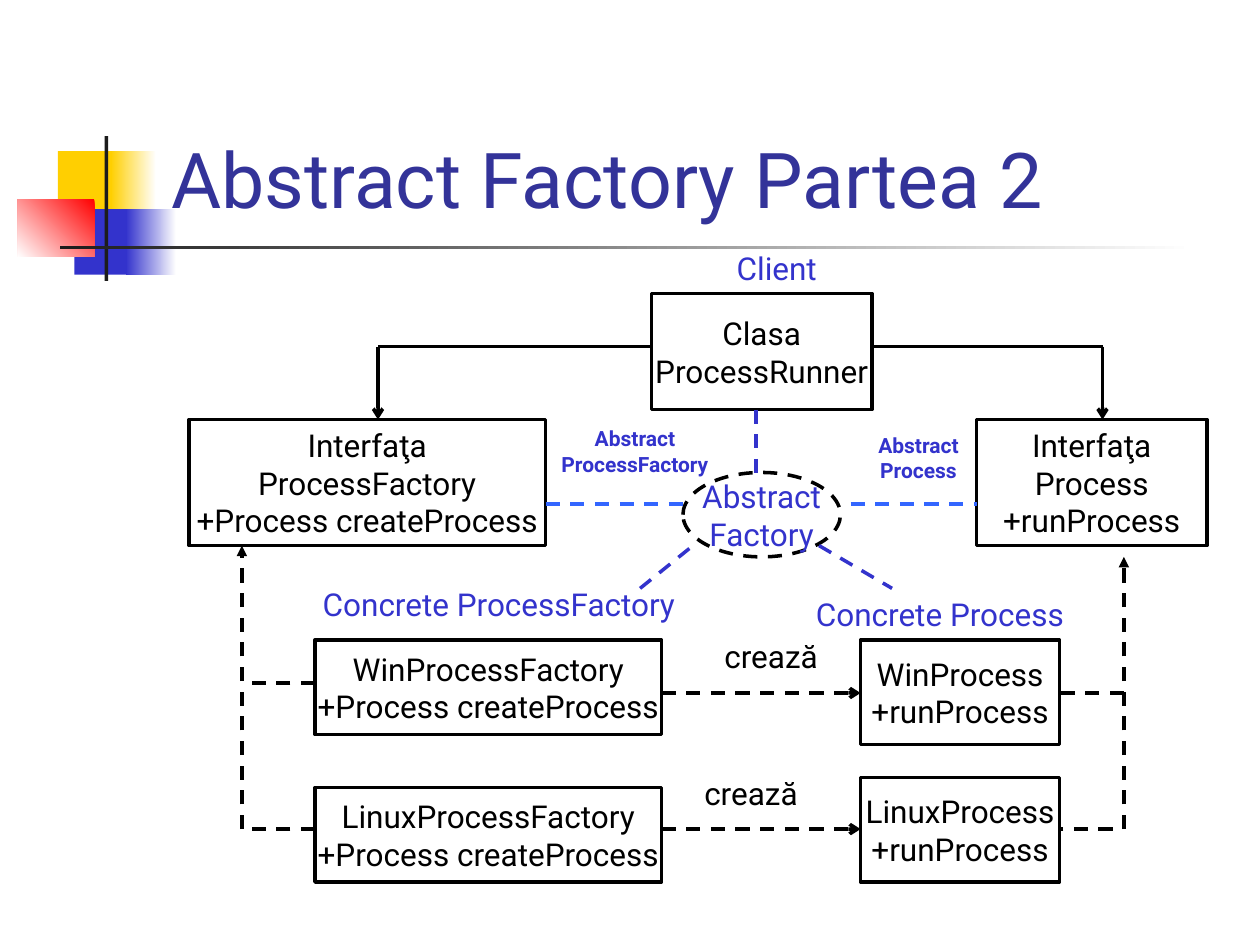
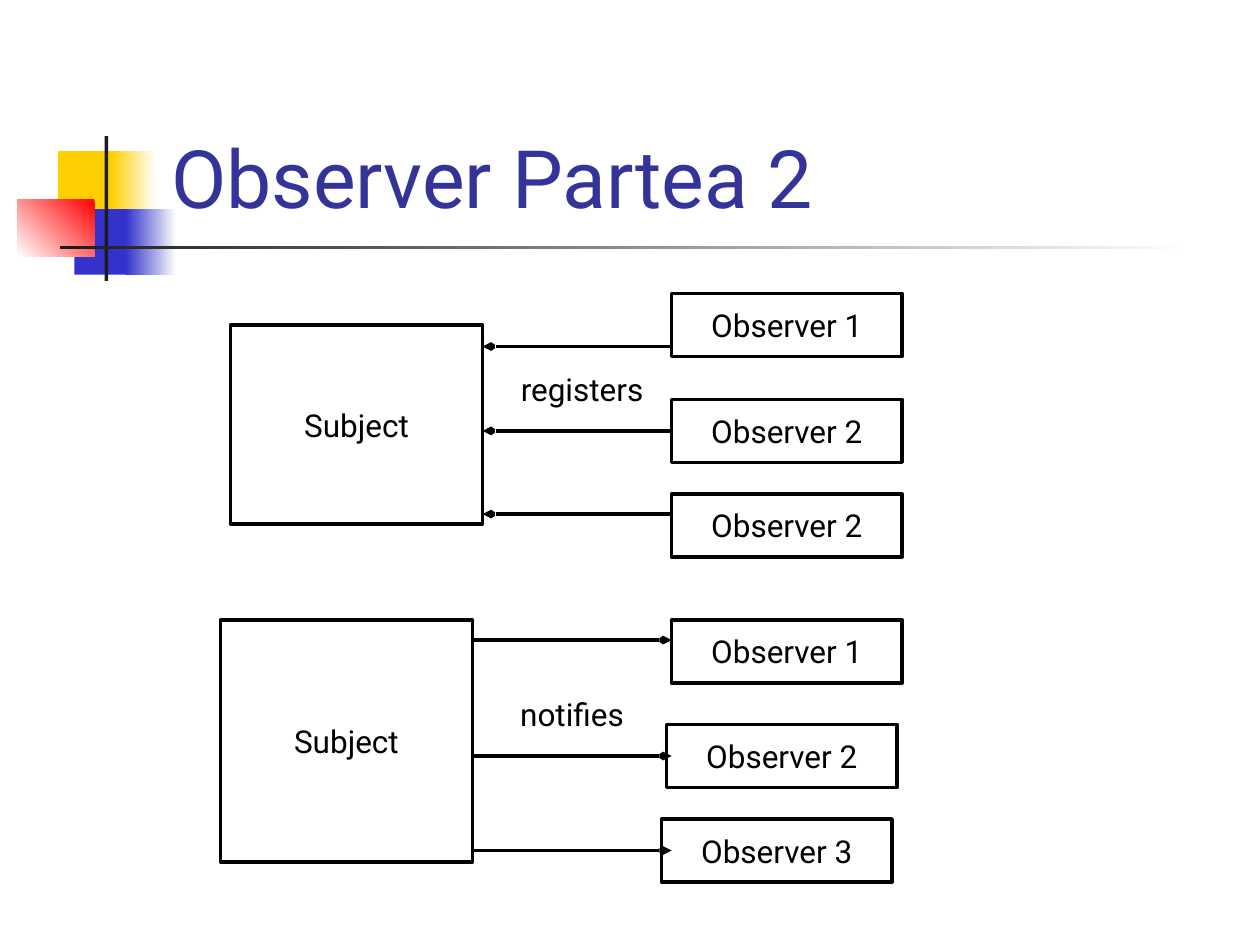
from lxml import etree
from pptx import Presentation
from pptx import util as u
from pptx.dml.color import RGBColor
from pptx.enum import dml, shapes, text
from pptx.oxml import ns

COLORS = {
    "black": "000000", "white": "FFFFFF", "ink": "1C1C1C", "title": "333399",
    "blue": "3333CC", "sky": "3366FF", "yellow": "FFCF01", "red": "FF0000",
}
RGB = {name: RGBColor.from_string(value) for name, value in COLORS.items()}
RECT, OVAL = shapes.MSO_SHAPE.RECTANGLE, shapes.MSO_SHAPE.OVAL
LABEL = {"word_wrap": False, "vertical_anchor": text.MSO_ANCHOR.MIDDLE,
         "auto_size": text.MSO_AUTO_SIZE.NONE}
TITLE = {"word_wrap": True, "vertical_anchor": text.MSO_ANCHOR.BOTTOM,
         "auto_size": text.MSO_AUTO_SIZE.NONE}
SIDES = {"margin_left": 0.1, "margin_right": 0.1, "margin_top": 0.05, "margin_bottom": 0.05}

# Motif behind every title: place, first colour, second colour, angle
MOTIF = [
    ((0.46, 1.2, 0.48, 0.52), "yellow", None, 0),
    ((0.88, 1.2, 0.36, 0.52), "white", "yellow", 180),
    ((0.59, 1.66, 0.46, 0.52), "blue", None, 0),
    ((1, 1.66, 0.4, 0.52), "white", "blue", 180),
    ((0.14, 1.58, 0.61, 0.46), "red", "white", 225),
    ((0.83, 1.08, 0.03, 1.15), "ink", None, 0),
    ((0.48, 1.95, 9, 0.03), "white", "ink", 180),
]


def write(slide, place, lines, outline=None, color="black", size=18, bold=False,
          frame_format=LABEL, align=text.PP_ALIGN.CENTER, dashed=False, inset=1):
    """Text in a box, outlined when a preset shape is given."""
    place = [u.Inches(n) for n in place]
    if outline is None:
        box = slide.shapes.add_textbox(*place)
    else:
        box = slide.shapes.add_shape(outline, *place)
        box.shadow.inherit = False
        box.fill.background()
        box.line.color.rgb = RGB["black"]
        box.line.width = u.Pt(2)
        if dashed:
            box.line.dash_style = dml.MSO_LINE.DASH
    frame = box.text_frame
    for name, value in frame_format.items():
        setattr(frame, name, value)
    for name, value in SIDES.items():
        setattr(frame, name, u.Inches(value * inset))
    frame.text = "\n".join(lines)
    font_format = {"name": "Roboto", "size": u.Pt(size), "bold": bold}
    for paragraph in frame.paragraphs:
        paragraph.alignment = align
        for name, value in font_format.items():
            setattr(paragraph.font, name, value)
        paragraph.font.color.rgb = RGB[color]


def link(slide, start, end, head=None, dashed=False, color="black", head_width="med"):
    """Straight line, with an arrowhead at its end when one is named."""
    line = slide.shapes.add_connector(
        shapes.MSO_CONNECTOR.STRAIGHT, *[u.Inches(n) for n in (*start, *end)])
    line.line.color.rgb = RGB[color]
    line.line.width = u.Pt(2)
    if dashed:
        line.line.dash_style = dml.MSO_LINE.DASH
    properties = line._element.spPr
    if head:
        etree.SubElement(properties.find(ns.qn("a:ln")), ns.qn("a:tailEnd"),
                         type=head, w=head_width, len="med")
    etree.SubElement(properties, ns.qn("a:effectLst"))


deck = Presentation()
deck.slide_width, deck.slide_height = u.Inches(10), u.Inches(7.5)

# Both slides: motif and title
pages = []
for heading, size in [("Abstract Factory Partea 2", 44), ("Observer Partea 2", 46)]:
    page = deck.slides.add_slide(deck.slide_layouts[6])
    for place, first, second, angle in MOTIF:
        block = page.shapes.add_shape(RECT, *[u.Inches(n) for n in place])
        block.shadow.inherit = False
        block.line.fill.background()
        if second is None:
            block.fill.solid()
            block.fill.fore_color.rgb = RGB[first]
            continue
        block.fill.gradient()
        block.fill.gradient_angle = angle
        for stop, position, name in zip(block.fill.gradient_stops, (0, 1), (first, second)):
            stop.position = position
            stop.color.rgb = RGB[name]
    write(page, (1.26, 0.23, 8.52, 1.6), [heading], color="title", size=size,
          frame_format=TITLE, align=text.PP_ALIGN.LEFT)
    pages.append(page)
factory, observer = pages

# Slide 1: classes and interfaces
create, run = "+Process createProcess", "+runProcess"
for place, lines in [
    ((1.5, 3.33, 2.83, 1), ["Interfaţa", "ProcessFactory", create]),
    ((7.75, 3.33, 1.83, 1), ["Interfaţa", "Process", run]),
    ((5.17, 2.33, 1.75, 0.92), ["Clasa", "ProcessRunner"]),
    ((2.5, 5.08, 2.75, 0.75), ["WinProcessFactory", create]),
    ((2.5, 6.25, 2.75, 0.75), ["LinuxProcessFactory", create]),
    ((6.83, 6.17, 1.58, 0.83), ["LinuxProcess", run]),
    ((6.83, 5.08, 1.58, 0.83), ["WinProcess", run]),
]:
    write(factory, place, lines, RECT)

# Slide 1: the client uses both interfaces
for side, corner in [(5.17, 3), (6.92, 8.75)]:
    link(factory, (side, 2.75), (corner, 2.75))
    link(factory, (corner, 2.75), (corner, 3.33), "arrow")

# Slide 1: implementations point up, factories create processes
for start, end, head in [
    ((1.92, 6.58), (1.92, 4.33), "triangle"),
    ((2.5, 6.58), (1.92, 6.58), None),
    ((2.5, 5.42), (1.92, 5.42), None),
    ((5.25, 5.5), (6.83, 5.5), "arrow"),
    ((5.25, 6.58), (6.83, 6.58), "arrow"),
    ((8.92, 6.58), (8.92, 4.42), "triangle"),
    ((8.92, 5.5), (8.42, 5.5), None),
    ((8.83, 6.58), (8.42, 6.58), None),
]:
    link(factory, start, end, head, dashed=True)
for left, top in [(5.58, 5.08), (5.42, 6.17)]:
    write(factory, (left, top, 1.08, 0.25), ["crează"])

# Slide 1: the pattern and its roles
write(factory, (5.42, 3.75, 1.25, 0.67), ["Abstract", "Factory"], OVAL, "blue", dashed=True)
for start, end, color in [
    ((4.33, 4), (5.42, 4), "sky"),
    ((6.75, 4), (7.75, 4), "sky"),
    ((6, 3.25), (6, 3.75), "blue"),
    ((5.08, 4.67), (5.5, 4.33), "blue"),
    ((6.5, 4.33), (7.08, 4.67), "blue"),
]:
    link(factory, start, end, dashed=True, color=color)
for place, role in [
    ((2.67, 4.67, 2.58, 0.25), "Concrete ProcessFactory"),
    ((6.5, 4.75, 1.92, 0.25), "Concrete Process"),
    ((5.58, 2, 1.17, 0.25), "Client"),
]:
    write(factory, place, [role], color="blue")
for place, product in [
    ((4.58, 3.33, 0.92, 0.5), "ProcessFactory"),
    ((6.83, 3.42, 0.92, 0.42), "Process"),
]:
    write(factory, place, ["Abstract", product], color="blue", size=12, bold=True, inset=0)

# Slide 2: subjects and the messages exchanged
for subject, message, message_place in [
    ((1.83, 2.58, 2, 1.58), "registers", (4.08, 3, 1.08, 0.17)),
    ((1.75, 4.92, 2, 1.92), "notifies", (4, 5.58, 1.08, 0.17)),
]:
    write(observer, subject, ["Subject"], RECT)
    write(observer, message_place, [message])

# Slide 2: observers
for left, top, number in [
    (5.33, 2.33, 1), (5.33, 3.17, 2), (5.33, 3.92, 2),
    (5.33, 4.92, 1), (5.29, 5.75, 2), (5.25, 6.5, 3),
]:
    write(observer, (left, top, 1.83, 0.5), [f"Observer {number}"], RECT)

# Slide 2: registering runs left, notifying runs right
for start, end, heights in [(5.33, 3.83, (2.75, 3.42, 4.08)), (3.75, 5.33, (5.08, 6, 6.75))]:
    for height in heights:
        link(observer, (start, height), (end, height), "arrow", head_width="sm")

deck.save("out.pptx")
